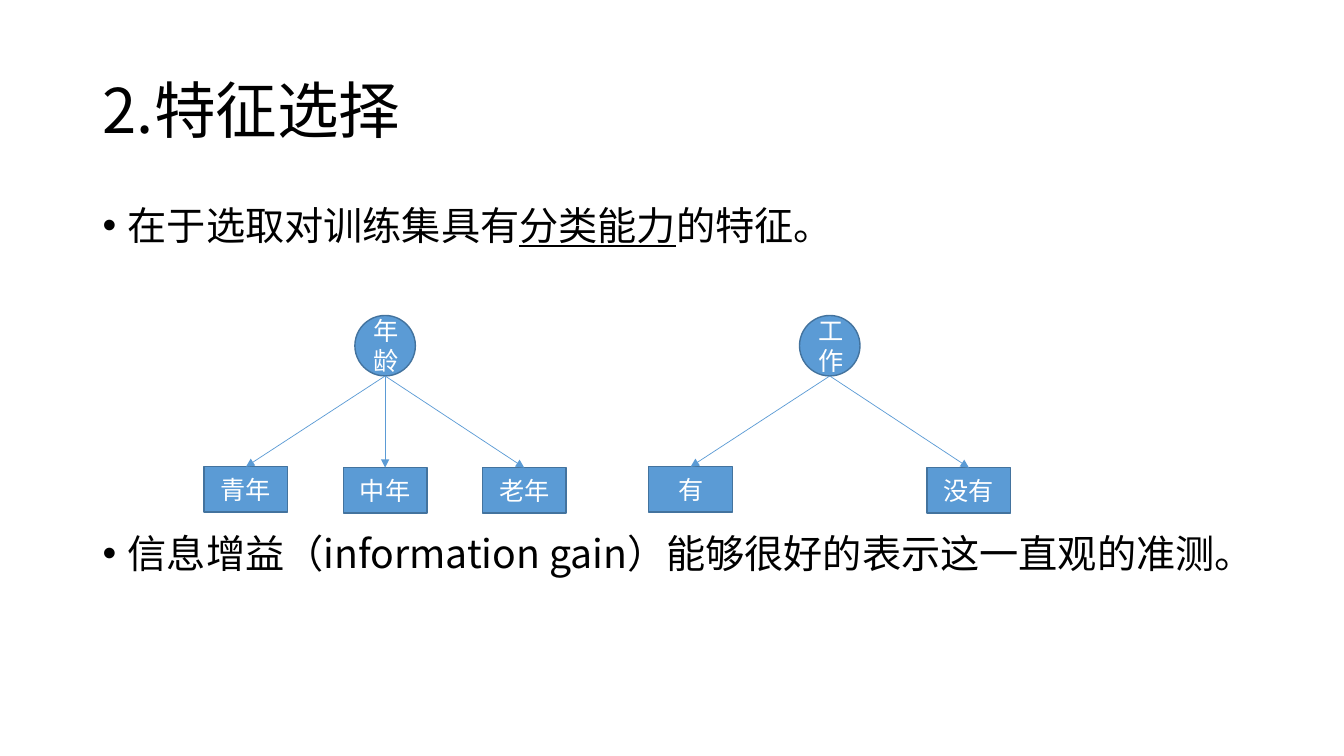
from lxml.etree import SubElement
from pptx import Presentation
from pptx.dml.color import RGBColor
from pptx.enum.shapes import MSO_CONNECTOR, MSO_SHAPE
from pptx.enum.text import MSO_ANCHOR, PP_ALIGN
from pptx.oxml.ns import qn
from pptx.util import Inches, Pt

FONT = "Noto Sans CJK SC"
BLUE, DARK_BLUE = "5B9BD5", "43739E"
NODE_SIZE = 0.6
BOX_WIDTH, BOX_HEIGHT = 0.83, 0.45


def color(hex_text):
    return RGBColor.from_string(hex_text)


def add_run(paragraph, text, size, hex_text, underline=False):
    run = paragraph.add_run()
    run.text = text
    values = {"name": FONT, "size": Pt(size), "underline": underline}
    for name, value in values.items():
        setattr(run.font, name, value)
    run.font.color.rgb = color(hex_text)
    SubElement(run.font._element, qn("a:ea"), typeface=FONT)


presentation = Presentation()
presentation.slide_width = Inches(13.33)
presentation.slide_height = Inches(7.5)
slide = presentation.slides.add_slide(presentation.slide_layouts[6])

# Title
title = slide.shapes.add_textbox(Inches(0.92), Inches(0.4), Inches(11.5), Inches(1.45))
title.text_frame.word_wrap = True
title.text_frame.vertical_anchor = MSO_ANCHOR.MIDDLE
title.text_frame.paragraphs[0].line_spacing = 0.9
add_run(title.text_frame.paragraphs[0], "2.特征选择", 44, "000000")

# Bullets, with room for the trees between them
bullets = [
    (10, [("在于选取对训练集具有", False), ("分类能力", True), ("的特征。", False)]),
    (204, [("信息增益（information gain）能够很好的表示这一直观的准测。", False)]),
]
body = slide.shapes.add_textbox(Inches(0.92), Inches(2), Inches(11.5), Inches(4.76))
body.text_frame.word_wrap = True
for index, (space_before, parts) in enumerate(bullets):
    paragraph = body.text_frame.add_paragraph() if index else body.text_frame.paragraphs[0]
    paragraph.line_spacing = 0.9
    paragraph.space_before = Pt(space_before)
    properties = paragraph._p.get_or_add_pPr()
    properties.set("marL", str(Inches(0.25)))
    properties.set("indent", str(Inches(-0.25)))
    SubElement(properties, qn("a:buFont"), typeface="Arial")
    SubElement(properties, qn("a:buChar"), char="•")
    for text, underline in parts:
        add_run(paragraph, text, 28, "000000", underline)


def add_node(kind, text, left, top, width, height):
    """Add a blue tree node with centred white text."""
    shape = slide.shapes.add_shape(kind, Inches(left), Inches(top), Inches(width), Inches(height))
    shape.shadow.inherit = False
    shape.fill.solid()
    shape.fill.fore_color.rgb = color(BLUE)
    shape.line.color.rgb = color(DARK_BLUE)
    shape.line.width = Pt(1)
    shape.text_frame.word_wrap = True
    shape.text_frame.vertical_anchor = MSO_ANCHOR.MIDDLE
    paragraph = shape.text_frame.paragraphs[0]
    paragraph.alignment = PP_ALIGN.CENTER
    add_run(paragraph, text, 18, "FFFFFF")
    return shape


# Trees: feature, centre, and leaves as (text, offset from the centre, top)
trees = [
    ("年龄", 3.82, [("青年", -1.38, 4.63), ("中年", 0, 4.64), ("老年", 1.38, 4.64)]),
    ("工作", 8.23, [("有", -1.38, 4.63), ("没有", 1.38, 4.64)]),
]
for feature, center, leaves in trees:
    node = add_node(MSO_SHAPE.OVAL, feature, center - NODE_SIZE / 2, 3.13, NODE_SIZE, NODE_SIZE)
    for text, offset, top in leaves:
        leaf_center = center + offset
        leaf = add_node(MSO_SHAPE.RECTANGLE, text, leaf_center - BOX_WIDTH / 2, top,
                        BOX_WIDTH, BOX_HEIGHT)
        arrow = slide.shapes.add_connector(
            MSO_CONNECTOR.STRAIGHT, Inches(center), node.top + node.height,
            Inches(leaf_center), Inches(top))
        arrow.end_connect(leaf, 0)
        arrow.line.color.rgb = color(BLUE)
        arrow.line.width = Pt(0.5)
        SubElement(arrow.line._get_or_add_ln(), qn("a:tailEnd"), type="triangle")
        SubElement(arrow._element.spPr, qn("a:effectLst"))

presentation.save("out.pptx")
